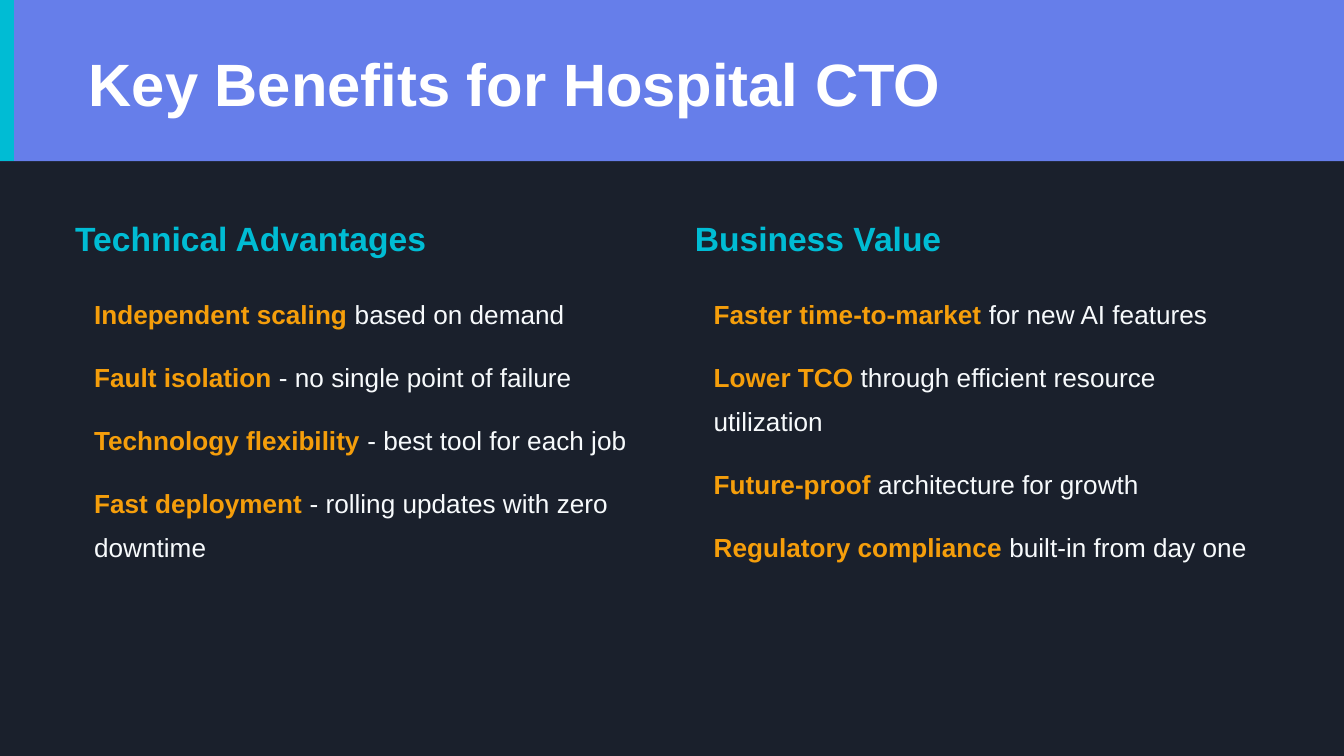
from lxml import etree
from pptx import Presentation
from pptx.dml.color import RGBColor
from pptx.enum.shapes import MSO_CONNECTOR, MSO_SHAPE
from pptx.enum.text import MSO_ANCHOR, MSO_AUTO_SIZE, PP_ALIGN
from pptx.oxml.ns import qn
from pptx.util import Inches, Pt

RECTANGLE = MSO_SHAPE.RECTANGLE
STRAIGHT = MSO_CONNECTOR.STRAIGHT
TOP = MSO_ANCHOR.TOP
NO_AUTOFIT = MSO_AUTO_SIZE.NONE
LEFT = PP_ALIGN.LEFT

COLORS = {
    "background": "1A202C",
    "band": "667EEA",
    "accent": "00BCD4",
    "title": "FFFFFF",
    "highlight": "F59E0B",
    "text": "F7FAFC",
}
FONT = "Arial"
COMPARISON_LAYOUT = 4
SLIDE_WIDTH = 10
SLIDE_HEIGHT = SLIDE_WIDTH * 9 / 16
BAND_HEIGHT = 1.2
COLUMN_LEFT, COLUMN_STEP = 0.56, 4.61

COLUMNS = [
    ("Technical Advantages", [
        ("Independent scaling", " based on demand"),
        ("Fault isolation", " - no single point of failure"),
        ("Technology flexibility", " - best tool for each job"),
        ("Fast deployment", " - rolling updates with zero downtime"),
    ]),
    ("Business Value", [
        ("Faster time-to-market", " for new AI features"),
        ("Lower TCO", " through efficient resource utilization"),
        ("Future-proof", " architecture for growth"),
        ("Regulatory compliance", " built-in from day one"),
    ]),
]


class BenefitsSlide:
    def __init__(self, slide):
        self.slide = slide
        background = slide.background.fill
        background.solid()
        background.fore_color.rgb = self.color("background")

    def color(self, name):
        return RGBColor.from_string(COLORS[name])

    def send_behind_text(self, shape):
        self.slide.shapes.title._element.addprevious(shape._element)

    def band(self, width, height):
        band = self.slide.shapes.add_shape(
            RECTANGLE, 0, 0, Inches(width), Inches(height))
        band.shadow.inherit = False
        band.fill.solid()
        band.fill.fore_color.rgb = self.color("band")
        band.line.fill.background()
        self.send_behind_text(band)

    def accent_bar(self, x, height):
        bar = self.slide.shapes.add_connector(
            STRAIGHT, Inches(x), 0, Inches(x), Inches(height))
        bar.line.color.rgb = self.color("accent")
        bar.line.width = Pt(7.5)
        etree.SubElement(bar._element.spPr, qn("a:effectLst"))
        self.send_behind_text(bar)

    def text(self, index, box, paragraphs, size, space_after=0,
             line_spacing=None, inset=0):
        """Fill a placeholder with paragraphs of (text, color, bold) runs."""
        placeholder = self.slide.placeholders[index]
        (placeholder.left, placeholder.top,
         placeholder.width, placeholder.height) = map(Inches, box)
        frame = placeholder.text_frame
        frame.word_wrap = True
        frame.auto_size = NO_AUTOFIT
        frame.vertical_anchor = TOP
        frame.margin_left = Inches(inset)
        frame.margin_top = frame.margin_right = frame.margin_bottom = 0
        for number, runs in enumerate(paragraphs):
            paragraph = frame.add_paragraph() if number else frame.paragraphs[0]
            paragraph.alignment = LEFT
            paragraph.space_before = Pt(0)
            paragraph.space_after = Pt(space_after)
            if line_spacing:
                paragraph.line_spacing = Pt(line_spacing)
            properties = paragraph._p.get_or_add_pPr()
            properties.set("marL", "0")
            properties.set("indent", "0")
            etree.SubElement(properties, qn("a:buNone"))
            for words, color, bold in runs:
                run = paragraph.add_run()
                run.text = words
                run.font.name = FONT
                run.font.size = Pt(size)
                run.font.bold = bold
                run.font.color.rgb = self.color(color)

    def title(self, words):
        self.text(0, (0.66, 0.35, 8.96, 0.51), [[(words, "title", True)]], 32)

    def column(self, number, heading, benefits):
        left = COLUMN_LEFT + number * COLUMN_STEP
        heading_index = 1 + 2 * number
        self.text(heading_index, (left, 1.62, 4.36, 0.29),
                  [[(heading, "accent", True)]], 18, space_after=15)
        items = [[(benefit, "highlight", True), (detail, "text", False)]
                 for benefit, detail in benefits]
        self.text(heading_index + 1, (left, 2.12, 4.27, 2.07), items, 14,
                  space_after=10, line_spacing=23.8, inset=0.14)


def main():
    presentation = Presentation()
    presentation.slide_width = Inches(SLIDE_WIDTH)
    presentation.slide_height = Inches(SLIDE_HEIGHT)
    layout = presentation.slide_layouts[COMPARISON_LAYOUT]
    benefits_slide = BenefitsSlide(presentation.slides.add_slide(layout))
    benefits_slide.band(SLIDE_WIDTH, BAND_HEIGHT)
    benefits_slide.accent_bar(0.05, BAND_HEIGHT)
    benefits_slide.title("Key Benefits for Hospital CTO")
    for number, (heading, benefits) in enumerate(COLUMNS):
        benefits_slide.column(number, heading, benefits)
    presentation.save("out.pptx")


if __name__ == "__main__":
    main()
